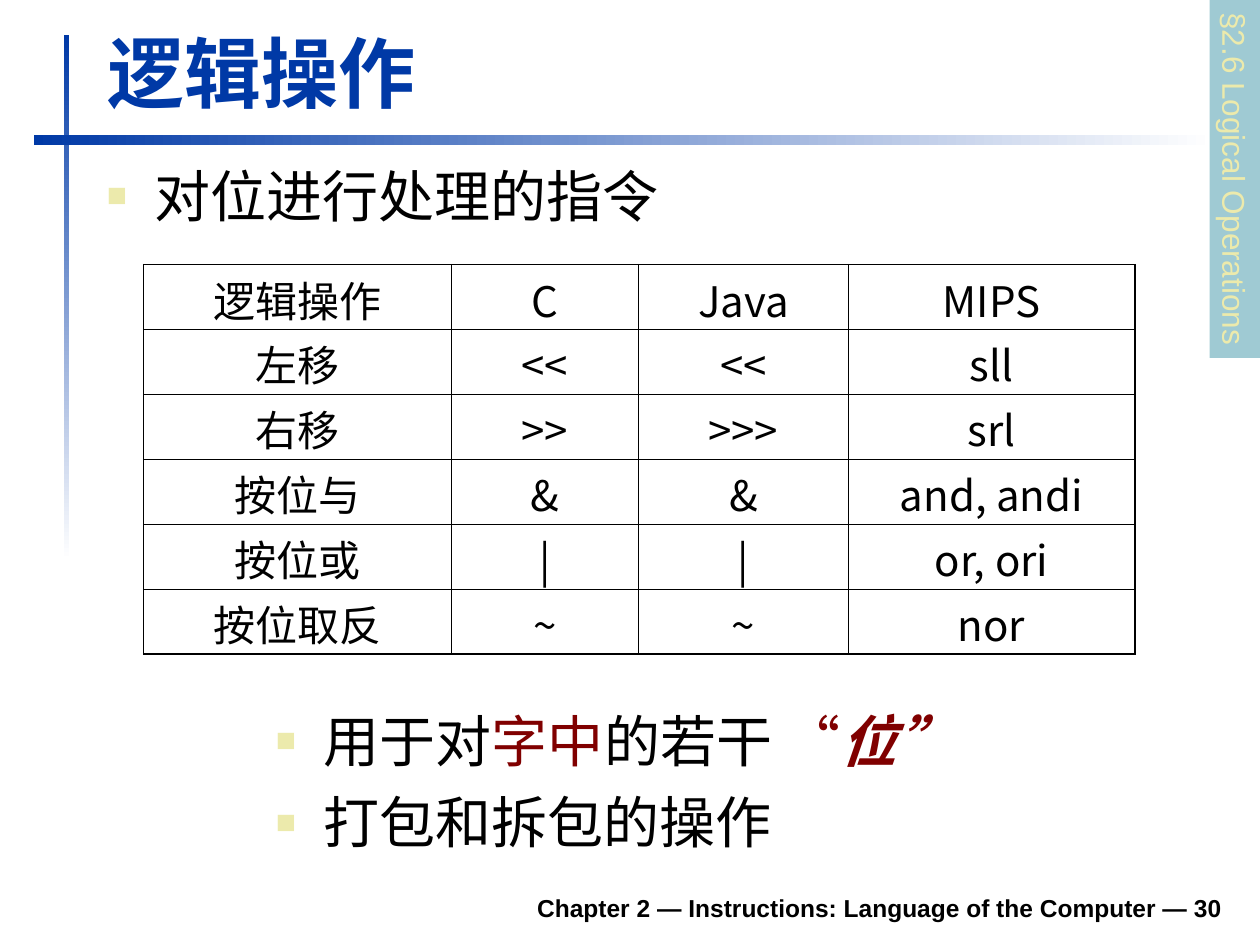
from dataclasses import dataclass

from lxml import etree
from pptx import Presentation
from pptx.dml.color import RGBColor
from pptx.enum.shapes import MSO_SHAPE
from pptx.enum.text import MSO_ANCHOR, MSO_AUTO_SIZE, PP_ALIGN
from pptx.oxml.ns import qn
from pptx.util import Inches, Pt

RECTANGLE = MSO_SHAPE.RECTANGLE
BOTTOM = MSO_ANCHOR.BOTTOM
TOP = MSO_ANCHOR.TOP
GROW = MSO_AUTO_SIZE.SHAPE_TO_FIT_TEXT
LEFT = PP_ALIGN.LEFT
CENTER = PP_ALIGN.CENTER
RIGHT = PP_ALIGN.RIGHT


@dataclass(frozen=True)
class Theme:
    blue: str = "0039A6"
    white: str = "FFFFFF"
    black: str = "000000"
    red: str = "800000"
    cream: str = "ECEAAC"
    teal: str = "9FCAD3"
    font: str = "Arial"
    table_font: str = "Noto Sans CJK SC"
    title_size: int = 44
    body_size: int = 32
    table_size: int = 24
    section_size: int = 18
    footer_size: int = 14
    outer_line: float = 1.08
    header_line: float = 0.75
    inner_line: float = 0.45


theme = Theme()


def add_run(paragraph, text, size, color, font=theme.font, bold=False, italic=False):
    run = paragraph.add_run()
    run.text = text
    run.font.name = font
    run.font.size = Pt(size)
    run.font.bold = bold
    run.font.italic = italic
    run.font.color.rgb = RGBColor.from_string(color)


def add_bullet(paragraph):
    properties = paragraph._p.get_or_add_pPr()
    properties.set("marL", str(Inches(0.38)))
    properties.set("indent", str(-Inches(0.38)))
    bullet_color = etree.SubElement(properties, qn("a:buClr"))
    etree.SubElement(bullet_color, qn("a:srgbClr"), val=theme.cream)
    etree.SubElement(properties, qn("a:buSzPct"), val="60000")
    etree.SubElement(properties, qn("a:buFont"), typeface=theme.font)
    etree.SubElement(properties, qn("a:buChar"), char="■")


presentation = Presentation()
presentation.slide_width = Inches(10)
presentation.slide_height = Inches(7.5)
slide = presentation.slides.add_slide(presentation.slide_layouts[5])
shapes = slide.shapes

rules = [(0.51, 0.28, 0.04, 4.17, 270), (0.27, 1.07, 9.37, 0.08, 0)]
for left, top, width, height, angle in rules:
    rule = shapes.add_shape(RECTANGLE, Inches(left), Inches(top), Inches(width), Inches(height))
    rule.shadow.inherit = False
    rule.line.fill.background()
    rule.fill.gradient()
    rule.fill.gradient_angle = angle
    for stop, color in zip(rule.fill.gradient_stops, (theme.blue, theme.white)):
        stop.color.rgb = RGBColor.from_string(color)

footer = shapes.add_textbox(Inches(1.85), Inches(6.98), Inches(7.95), Inches(0.39))
footer.text_frame.word_wrap = True
footer.text_frame.vertical_anchor = BOTTOM
paragraph = footer.text_frame.paragraphs[0]
paragraph.alignment = RIGHT
add_run(paragraph, "Chapter 2 — Instructions: Language of the Computer — 30",
        theme.footer_size, theme.black, bold=True)

title = shapes.title
title.left, title.top = Inches(0.75), Inches(0.16)
title.width, title.height = Inches(9.03), Inches(0.83)
title.text_frame.vertical_anchor = BOTTOM
title.text_frame.auto_size = GROW
paragraph = title.text_frame.paragraphs[0]
paragraph.alignment = LEFT
add_run(paragraph, "逻辑操作", theme.title_size, theme.blue, bold=True)

bullet_boxes = [
    ((0.75, 1.23, 9.04, 0.76), [
        [("对位进行处理的指令", theme.black, False)],
    ]),
    ((2.09, 5.56, 5.75, 1.18), [
        [("用于对", theme.black, False), ("字中", theme.red, False),
         ("的若干", theme.black, False), (" “", theme.red, False), ("位”", theme.red, True)],
        [("打包和拆包的操作", theme.black, False)],
    ]),
]
for bounds, lines in bullet_boxes:
    box = shapes.add_textbox(*map(Inches, bounds))
    frame = box.text_frame
    frame.word_wrap = True
    for index, line in enumerate(lines):
        paragraph = frame.add_paragraph() if index else frame.paragraphs[0]
        add_bullet(paragraph)
        if index:
            paragraph.space_before = Pt(8)
        for text, color, emphasis in line:
            add_run(paragraph, text, theme.body_size, color, bold=emphasis, italic=emphasis)

operations = [
    ("逻辑操作", "C", "Java", "MIPS"),
    ("左移", "<<", "<<", "sll"),
    ("右移", ">>", ">>>", "srl"),
    ("按位与", "&", "&", "and, andi"),
    ("按位或", "|", "|", "or, ori"),
    ("按位取反", "~", "~", "nor"),
]
column_widths = [2.44, 1.49, 1.66, 2.28]
row_count, column_count = len(operations), len(column_widths)
table = shapes.add_table(row_count, column_count, Inches(1.14), Inches(2.1),
                         Inches(sum(column_widths)), Inches(3.09)).table
table.first_row = False
table.horz_banding = False
for column, width in zip(table.columns, column_widths):
    column.width = Inches(width)
for row in table.rows:
    row.height = Inches(3.09 / row_count)

row_lines = [theme.outer_line, theme.header_line]
row_lines += [theme.inner_line] * (row_count - 2) + [theme.outer_line]
column_lines = [theme.outer_line] + [theme.inner_line] * (column_count - 1) + [theme.outer_line]
for row_index, operation in enumerate(operations):
    for column_index, text in enumerate(operation):
        cell = table.cell(row_index, column_index)
        cell.margin_top = Inches(0.03)
        cell.margin_bottom = 0
        cell.vertical_anchor = TOP
        cell.fill.background()
        paragraph = cell.text_frame.paragraphs[0]
        paragraph.alignment = CENTER
        add_run(paragraph, text, theme.table_size, theme.black, font=theme.table_font)
        borders = [
            ("a:lnL", column_lines[column_index]),
            ("a:lnR", column_lines[column_index + 1]),
            ("a:lnT", row_lines[row_index]),
            ("a:lnB", row_lines[row_index + 1]),
        ]
        properties = cell._tc.get_or_add_tcPr()
        for position, (tag, width) in enumerate(borders):
            border = etree.Element(qn(tag), w=str(Pt(width)))
            fill = etree.SubElement(border, qn("a:solidFill"))
            etree.SubElement(fill, qn("a:srgbClr"), val=theme.black)
            properties.insert(position, border)

section = shapes.add_shape(RECTANGLE, Inches(8.38), Inches(1.22), Inches(2.84), Inches(0.4))
section.rotation = 90
section.shadow.inherit = False
section.fill.solid()
section.fill.fore_color.rgb = RGBColor.from_string(theme.teal)
section.line.fill.background()
section.text_frame.word_wrap = False
section.text_frame.auto_size = GROW
section.text_frame.vertical_anchor = TOP
paragraph = section.text_frame.paragraphs[0]
paragraph.alignment = LEFT
add_run(paragraph, "§2.6 Logical Operations", theme.section_size, theme.cream)

presentation.save("out.pptx")
